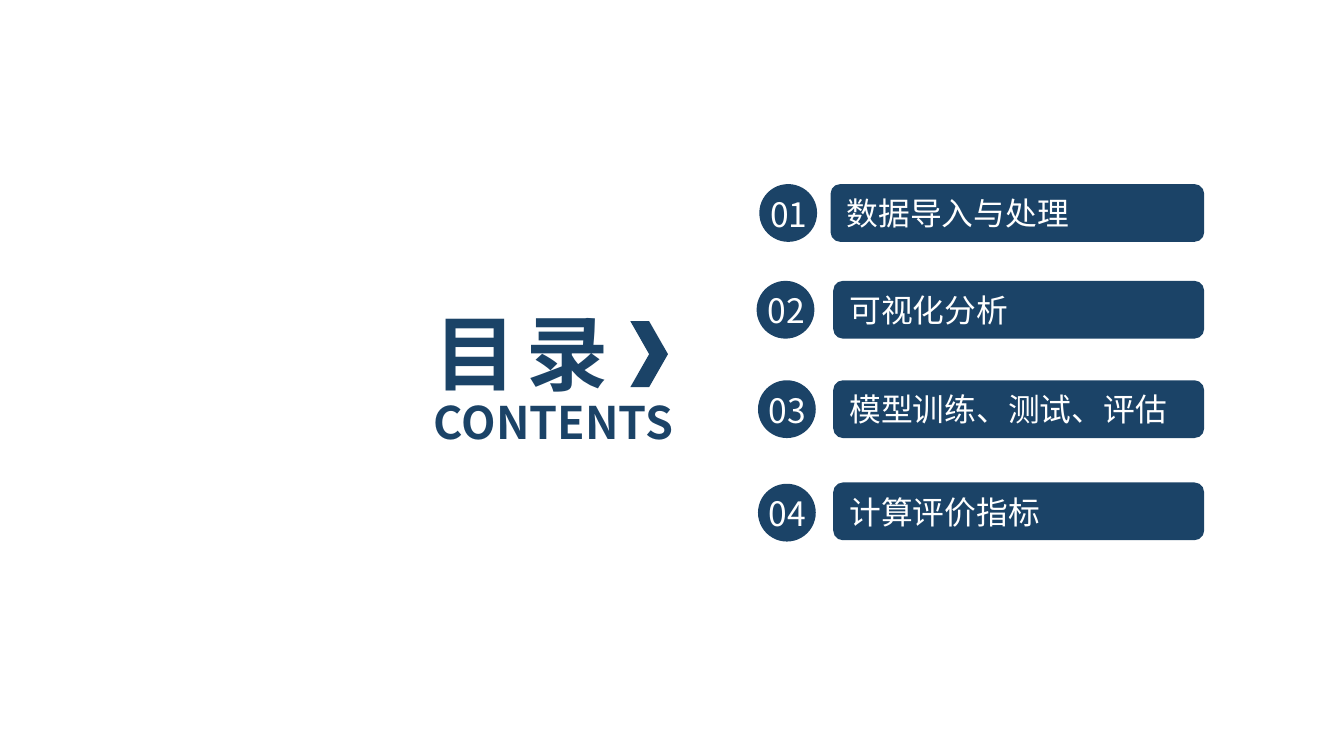
from dataclasses import dataclass

import lxml.etree
import pptx
import pptx.dml.color
import pptx.enum.shapes
import pptx.enum.text
import pptx.oxml.ns
import pptx.util

Inches = pptx.util.Inches
SHAPES = pptx.enum.shapes.MSO_SHAPE
ALIGN = pptx.enum.text.PP_ALIGN

COLORS = {"navy": "1B4367", "white": "FFFFFF"}
FONT = "Noto Sans CJK SC"
ROW_HEIGHT = 0.43
BAR_RIGHT = 8.96


@dataclass
class Chapter:
    label: str
    top: float
    badge_left: float
    badge_top: float
    bar_left: float


CHAPTERS = [
    Chapter("数据导入与处理", 1.37, 5.65, 1.37, 6.18),
    Chapter("可视化分析", 2.09, 5.63, 2.09, 6.2),
    Chapter("模型训练、测试、评估", 2.83, 5.64, 2.83, 6.2),
    Chapter("计算评价指标", 3.59, 5.64, 3.6, 6.2),
]


def write(box, text: str, size: float, color: str, align=ALIGN.LEFT,
          bold: bool = False, spacing: int = 0) -> None:
    frame = box.text_frame
    frame.text = text
    frame.word_wrap = True
    frame.auto_size = pptx.enum.text.MSO_AUTO_SIZE.NONE
    frame.vertical_anchor = pptx.enum.text.MSO_ANCHOR.MIDDLE
    para = frame.paragraphs[0]
    para.alignment = align
    span = para.runs[0]
    span.font.size = pptx.util.Pt(size)
    span.font.bold = bold
    span.font.name = FONT
    span.font.color.rgb = pptx.dml.color.RGBColor.from_string(COLORS[color])
    properties = span.font._element
    east_asian = lxml.etree.SubElement(properties, pptx.oxml.ns.qn("a:ea"))
    east_asian.set("typeface", FONT)
    if spacing:
        properties.set("spc", str(spacing))


def add_filled(shapes, kind, left: float, top: float, width: float, height: float):
    shape = shapes.add_shape(kind, Inches(left), Inches(top), Inches(width), Inches(height))
    shape.shadow.inherit = False
    shape.fill.solid()
    shape.fill.fore_color.rgb = pptx.dml.color.RGBColor.from_string(COLORS["navy"])
    shape.line.fill.background()
    return shape


def add_text(shapes, left: float, top: float, width: float, height: float):
    return shapes.add_textbox(Inches(left), Inches(top), Inches(width), Inches(height))


def add_chapter(page, number: int, chapter: Chapter) -> None:
    bar = add_filled(page.shapes, SHAPES.ROUNDED_RECTANGLE, chapter.bar_left, chapter.top,
                     BAR_RIGHT - chapter.bar_left, ROW_HEIGHT)
    write(bar, chapter.label, 17, "white")
    badge = page.shapes.add_group_shape()
    add_filled(badge.shapes, SHAPES.OVAL, chapter.badge_left, chapter.badge_top,
               ROW_HEIGHT, ROW_HEIGHT)
    box = add_text(badge.shapes, chapter.badge_left - 0.04, chapter.badge_top + 0.02, 0.52, 0.4)
    write(box, f"{number:02}", 18, "white", ALIGN.CENTER)


def main() -> None:
    deck = pptx.Presentation()
    deck.slide_width = Inches(10)
    deck.slide_height = deck.slide_width * 9 // 16
    page = deck.slides.add_slide(deck.slide_layouts[5])

    title = page.shapes.title
    title.left, title.top = Inches(3.13), Inches(2.2)
    title.width, title.height = Inches(2.35), Inches(0.84)
    write(title, "目 录", 44, "navy", bold=True, spacing=-220)
    subtitle = add_text(page.shapes, 3.13, 2.89, 2.31, 0.5)
    write(subtitle, "CONTENTS", 24, "navy", bold=True)
    add_filled(page.shapes, SHAPES.CHEVRON, 4.69, 2.39, 0.28, 0.49)

    for number, chapter in enumerate(CHAPTERS, 1):
        add_chapter(page, number, chapter)
    deck.save("out.pptx")


if __name__ == "__main__":
    main()
